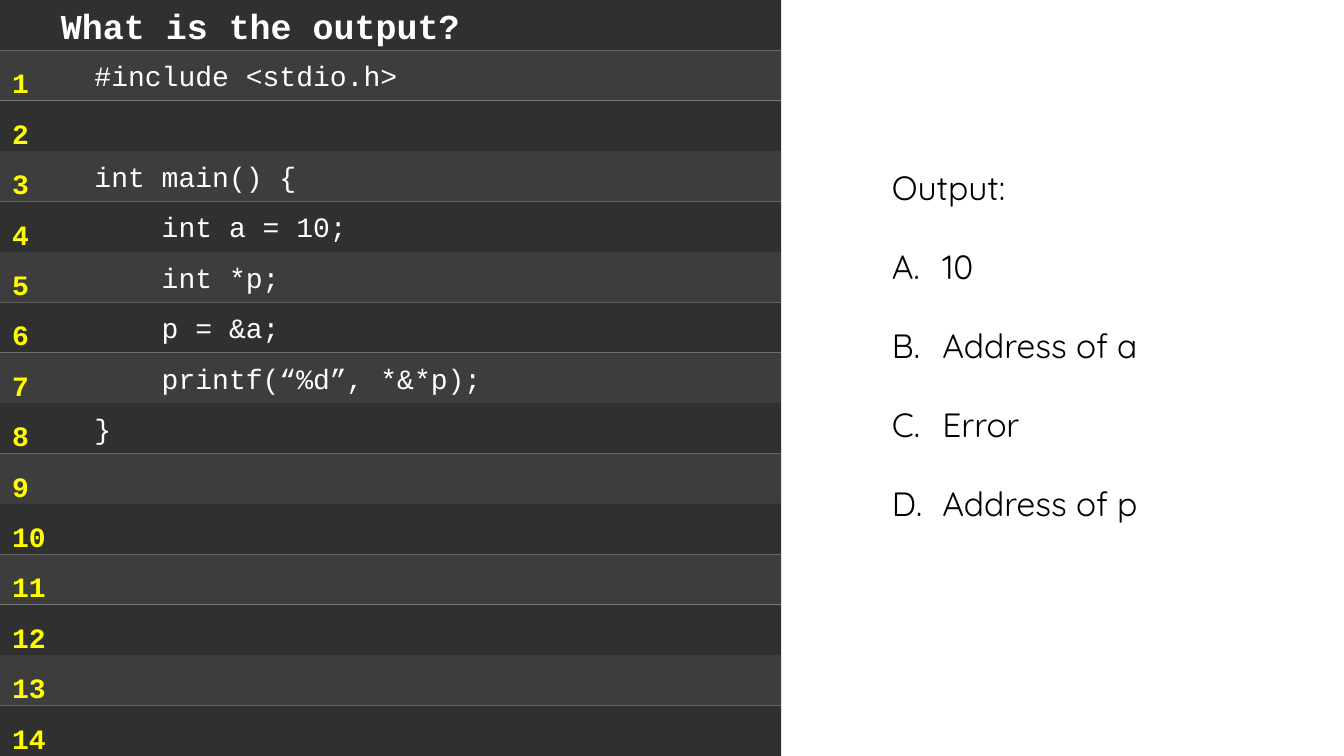
from lxml.etree import SubElement
from pptx import Presentation
from pptx.dml.color import RGBColor
from pptx.enum.shapes import MSO_SHAPE
from pptx.enum.text import MSO_ANCHOR, PP_ALIGN
from pptx.oxml.ns import qn
from pptx.util import Emu, Pt

ROW_HEIGHT = 48
ROW_FILLS = ("303030", "3D3D3D")
CODE_FONT = "Courier New"
LINE_COUNT = 14
CODE_LINES = (
    "#include <stdio.h>",
    "",
    "int main() {",
    "    int a = 10;",
    "    int *p;",
    "    p = &a;",
    "    printf(“%d”, *&*p);",
    "}",
)
ANSWERS = ("10", "Address of a", "Error", "Address of p")


def px(length):
    """Convert whole pixels to EMU."""
    return Emu(length * 9525)


def color(value):
    """Turn a hex string into a color."""
    return RGBColor.from_string(value)


def write(paragraph, text, *, font, size, fill, bold=False, line_spacing=None, space_before=None):
    """Write one formatted run into a paragraph."""
    paragraph.alignment = PP_ALIGN.LEFT
    if line_spacing:
        paragraph.line_spacing = line_spacing
    if space_before:
        paragraph.space_before = Pt(space_before)
    run = paragraph.add_run()
    run.text = text
    run.font.name = font
    run.font.size = Pt(size)
    run.font.bold = bold
    run.font.color.rgb = color(fill)


def add_letter(paragraph, indent):
    """Give a paragraph an automatic capital letter with a hanging indent."""
    properties = paragraph._p.get_or_add_pPr()
    properties.set("marL", str(px(indent)))
    properties.set("indent", str(-px(indent)))
    SubElement(properties, qn("a:buAutoNum"), type="alphaUcPeriod")


def add_row(slide, left, top, width, fill, text, text_left, **text_format):
    """Draw one code band with its optional text."""
    row = slide.shapes.add_shape(
        MSO_SHAPE.RECTANGLE, px(left), px(top), px(width), px(ROW_HEIGHT))
    row.shadow.inherit = False
    row.fill.solid()
    row.fill.fore_color.rgb = color(fill)
    row.line.fill.background()
    if text:
        frame = row.text_frame
        frame.word_wrap = True
        frame.vertical_anchor = MSO_ANCHOR.MIDDLE
        frame.margin_left = px(text_left)
        write(frame.paragraphs[0], text, font=CODE_FONT, fill="FFFFFF", **text_format)


def add_text_frame(slide, left, top, width, height):
    """Add a wrapping text box and return its frame."""
    frame = slide.shapes.add_textbox(px(left), px(top), px(width), px(height)).text_frame
    frame.word_wrap = True
    return frame


def add_code_panel(slide, left, top, width):
    """Draw the title band, the code bands and the line numbers."""
    add_row(slide, left, top, width, ROW_FILLS[0], "What is the output?", 58, size=25, bold=True)
    for number in range(1, LINE_COUNT + 1):
        text = CODE_LINES[number - 1] if number <= len(CODE_LINES) else ""
        add_row(slide, left, top + number * ROW_HEIGHT, width,
                ROW_FILLS[number % 2], text, 90, size=20)

    frame = add_text_frame(slide, left + 2, top + 42, 54, 684)
    for number in range(1, LINE_COUNT + 1):
        paragraph = frame.paragraphs[0] if number == 1 else frame.add_paragraph()
        write(paragraph, str(number), font=CODE_FONT, size=20, fill="FFFF00",
              bold=True, line_spacing=1.5)


def add_answers(slide, left, top, width, height):
    """Write the output question and its lettered answers."""
    frame = add_text_frame(slide, left, top, width, height)
    text_format = {"font": "Quicksand", "size": 24, "fill": "000000"}
    write(frame.paragraphs[0], "Output:", **text_format)
    for answer in ANSWERS:
        paragraph = frame.add_paragraph()
        add_letter(paragraph, 48)
        write(paragraph, answer, space_before=27.6, **text_format)


def main():
    """Build and save the quiz slide."""
    presentation = Presentation()
    presentation.slide_width = px(1280)
    presentation.slide_height = px(720)
    slide = presentation.slides.add_slide(presentation.slide_layouts[6])
    add_code_panel(slide, 0, 0, 744)
    add_answers(slide, 840, 154, 288, 359)
    presentation.save("out.pptx")


if __name__ == "__main__":
    main()
